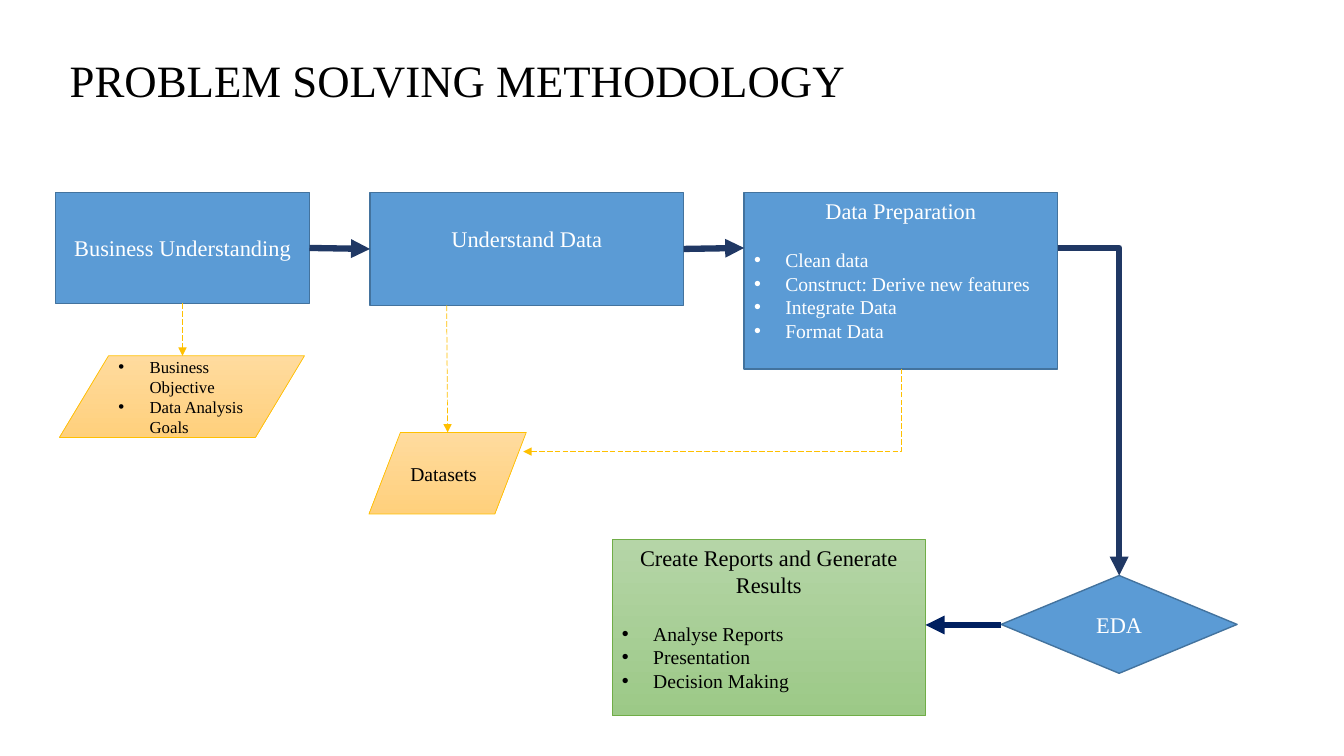
from pptx import Presentation
from pptx.dml.color import RGBColor
from pptx.enum.shapes import MSO_CONNECTOR, MSO_SHAPE
from pptx.enum.text import MSO_ANCHOR, PP_ALIGN
from pptx.oxml.ns import qn
from pptx.util import Pt
from lxml import etree

PX = 9144  # EMU per px, 100 px to the inch
FONT = "Times New Roman"
BULLET_INDENT = 31 * PX
BOX = MSO_SHAPE.RECTANGLE
DATA = MSO_SHAPE.FLOWCHART_DATA
DECISION = MSO_SHAPE.FLOWCHART_DECISION
STRAIGHT, ELBOW = MSO_CONNECTOR.STRAIGHT, MSO_CONNECTOR.ELBOW
TOP, MIDDLE = MSO_ANCHOR.TOP, MSO_ANCHOR.MIDDLE
LEFT, CENTER = PP_ALIGN.LEFT, PP_ALIGN.CENTER
COLORS = {
    "black": "000000", "white": "FFFFFF", "blue": "5B9BD5", "blue line": "43739E",
    "gold": "FFC000", "green line": "70AD47", "navy": "203864", "dark navy": "002060",
}
# style: fill stops, line colour, line width, text colour
STYLES = {
    "step": ([COLORS["blue"]], "blue line", 1, "white"),
    "data": (["FFDB9E", "FFD07C"], "gold", 0.5, "black"),
    "result": (["B5D5A7", "9CC987"], "green line", 0.5, "black"),
}

presentation = Presentation()
presentation.slide_width, presentation.slide_height = 1333 * PX, 750 * PX
slide = presentation.slides.add_slide(presentation.slide_layouts[6])


def write(paragraph, text, size, color, align=LEFT, bullet=False):
    paragraph.text = text
    paragraph.alignment = align
    paragraph.font.name, paragraph.font.size = FONT, Pt(size)
    paragraph.font.color.rgb = RGBColor.from_string(COLORS[color])
    if bullet:
        properties = paragraph._p.get_or_add_pPr()
        properties.set("marL", str(BULLET_INDENT))
        properties.set("indent", str(-BULLET_INDENT))
        etree.SubElement(properties, qn("a:buFont")).set("typeface", "Arial")
        etree.SubElement(properties, qn("a:buChar")).set("char", "•")


def connect(kind, start, end, color, width, dashed=False, arrow_at="tailEnd"):
    points = [value * PX for value in (*start, *end)]
    connector = slide.shapes.add_connector(kind, *points)
    connector.line.color.rgb = RGBColor.from_string(COLORS[color])
    connector.line.width = Pt(width)
    line = connector.line._get_or_add_ln()
    if dashed:
        etree.SubElement(line, qn("a:prstDash")).set("val", "lgDash")
    etree.SubElement(line, qn("a:" + arrow_at)).set("type", "triangle")
    etree.SubElement(connector._element.spPr, qn("a:effectLst"))
    if kind == ELBOW:  # a single corner: across, then up or down
        connector._element.spPr.find(qn("a:prstGeom")).set("prst", "bentConnector2")
    return connector


# Title
title = slide.shapes.add_textbox(45 * PX, 32 * PX, 1019 * PX, 94 * PX)
title.text_frame.word_wrap = True
title.text_frame.margin_left = 24 * PX
title.text_frame.vertical_anchor = MIDDLE
write(title.text_frame.paragraphs[0], "PROBLEM SOLVING METHODOLOGY", 32, "black")

# Flowchart shapes: kind, place, style, anchor, top margin, heading, heading size, bullets, bullet size
nodes = [
    (BOX, (55, 191, 252, 110), "step", MIDDLE, 5, "Business Understanding", 16, [], 0),
    (BOX, (367, 191, 311, 112), "step", TOP, 32, "Understand Data", 16, [], 0),
    (DATA, (59, 353, 243, 81), "data", MIDDLE, 5, "", 0,
     ["Business Objective", "Data Analysis Goals"], 12),
    (DATA, (366, 429, 156, 81), "data", MIDDLE, 5, "Datasets", 14, [], 0),
    (BOX, (738, 191, 311, 175), "step", TOP, 5, "Data Preparation", 16,
     ["Clean data", "Construct: Derive new features", "Integrate Data", "Format Data"], 14),
    (DECISION, (993, 571, 234, 97), "step", MIDDLE, 5, "EDA", 16, [], 0),
    (BOX, (607, 535, 311, 175), "result", TOP, 5, "Create Reports and Generate Results", 16,
     ["Analyse Reports", "Presentation", "Decision Making"], 14),
]
shapes = []
for kind, place, style, anchor, margin, heading, heading_size, bullets, bullet_size in nodes:
    stops, line_color, line_width, text_color = STYLES[style]
    shape = slide.shapes.add_shape(kind, *[value * PX for value in place])
    shapes.append(shape)
    shape.shadow.inherit = False
    if len(stops) == 1:
        shape.fill.solid()
        shape.fill.fore_color.rgb = RGBColor.from_string(stops[0])
    else:
        shape.fill.gradient()
        shape.fill.gradient_angle = 270
        for position, (stop, color) in enumerate(zip(shape.fill.gradient_stops, stops)):
            stop.position = position
            stop.color.rgb = RGBColor.from_string(color)
    shape.line.color.rgb = RGBColor.from_string(COLORS[line_color])
    shape.line.width = Pt(line_width)

    frame = shape.text_frame
    frame.word_wrap = True
    frame.vertical_anchor = anchor
    frame.margin_top = margin * PX
    paragraph = frame.paragraphs[0]
    if heading:
        align = LEFT if kind == DATA else CENTER
        write(paragraph, heading, heading_size, text_color, align)
    for number, bullet in enumerate(bullets):
        if heading or number:
            paragraph = frame.add_paragraph()
        if heading and number == 0:
            paragraph.space_before = Pt(17)
        write(paragraph, bullet, bullet_size, text_color, bullet=True)
business, understand = shapes[:2]

# Main flow
first_arrow = connect(STRAIGHT, (307, 246), (367, 246), "navy", 4.5)
first_arrow.begin_connect(business, 3)
first_arrow.end_connect(understand, 1)
second_arrow = connect(STRAIGHT, (678, 246), (738, 246), "navy", 4.5)
second_arrow.begin_connect(understand, 3)
connect(ELBOW, (1049, 246), (1110, 571), "navy", 4.5)
connect(STRAIGHT, (993, 620), (918, 620), "dark navy", 4.5)

# Dashed links to the data
objective_link = connect(STRAIGHT, (181, 301), (181, 353), "gold", 0.5, dashed=True)
objective_link.begin_connect(business, 2)
connect(STRAIGHT, (443, 303), (444, 429), "gold", 0.5, dashed=True)
connect(ELBOW, (519, 448), (894, 366), "gold", 0.5, dashed=True, arrow_at="headEnd")

presentation.save("out.pptx")
